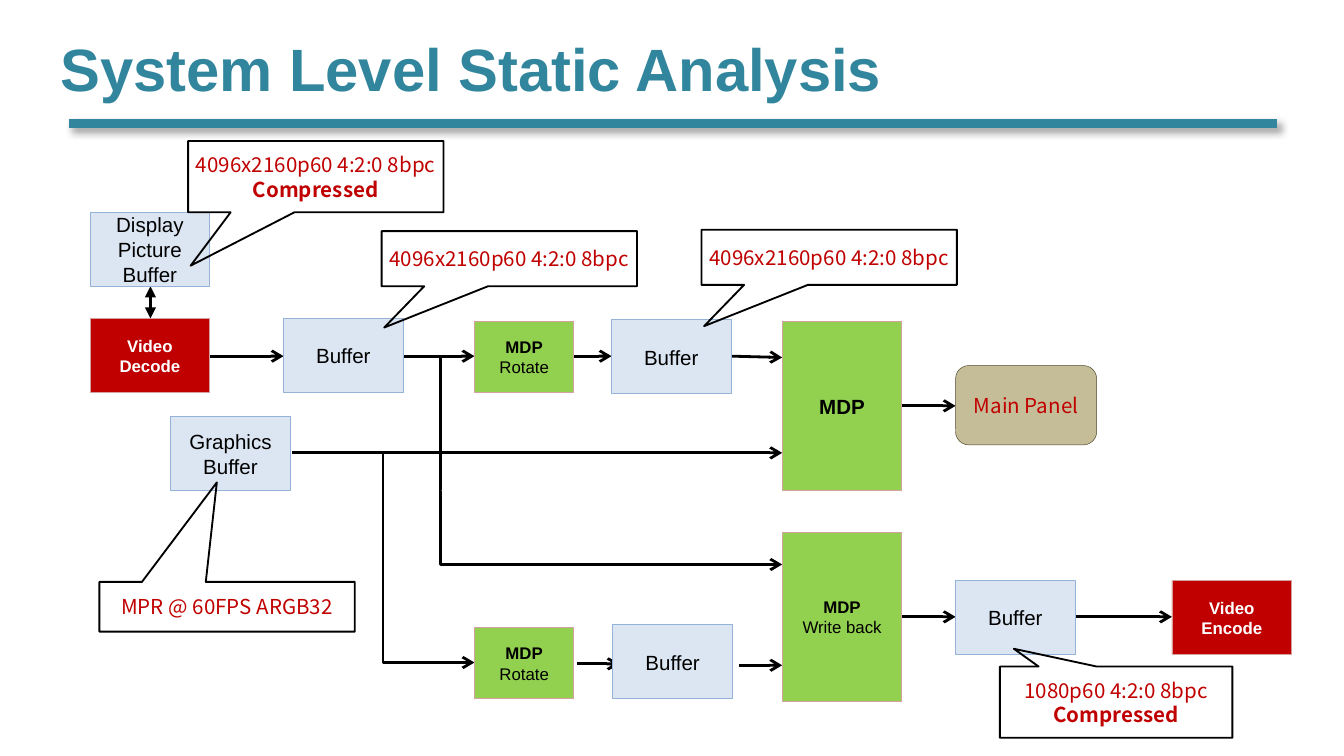
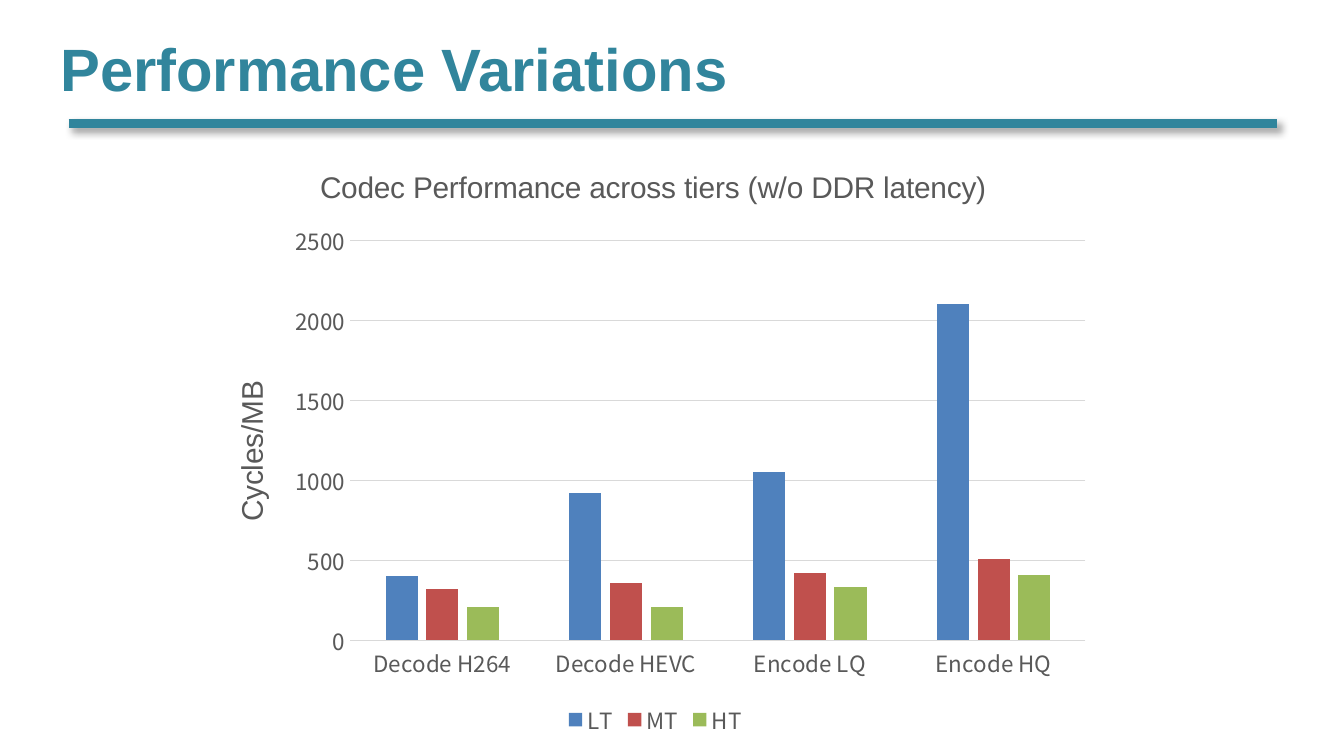
"""Build two slides: a video pipeline diagram and a codec performance chart."""
from dataclasses import dataclass
from typing import Any

from lxml.etree import SubElement
from pptx import Presentation
from pptx.chart.data import CategoryChartData
from pptx.dml.color import RGBColor
from pptx.enum.chart import XL_CHART_TYPE as ChartType
from pptx.enum.chart import XL_LEGEND_POSITION as LegendPosition
from pptx.enum.chart import XL_TICK_MARK as TickMark
from pptx.enum.shapes import MSO_CONNECTOR as Connector
from pptx.enum.shapes import MSO_SHAPE as Shape
from pptx.enum.text import MSO_ANCHOR as Anchor
from pptx.enum.text import PP_ALIGN as Align
from pptx.oxml.ns import qn
from pptx.slide import Slide
from pptx.util import Inches, Pt

COLORS = {
    "teal": "31859C", "black": "000000", "white": "FFFFFF", "red": "C00000",
    "pink": "D5A1A0", "green": "92D050", "pale": "DCE6F2", "blue": "95B3D7",
    "tan": "C4BD97", "brown": "4A452A", "grey": "595959", "grid": "D9D9D9",
    "LT": "4F81BD", "MT": "C0504D", "HT": "9BBB59",
}
SANS = "Arial"
NOTO = "Noto Sans CJK KR"
PAGE_WIDTH = 10
PAGE_HEIGHT = PAGE_WIDTH * 9 / 16
BLOCK_W, BLOCK_H = 0.89, 0.55
ROTATE_W, ROTATE_H = 0.74, 0.53
MDP_H = 1.26


@dataclass(frozen=True)
class Style:
    """Fill, outline and text look of one kind of box."""
    fill: str | None
    line: str
    weight: float
    color: str
    size: float
    font: str = SANS
    shape: Shape = Shape.RECTANGLE
    inset: bool = True


@dataclass(frozen=True)
class Block:
    """A box with lines of (text, bold) and optional callout adjustments."""
    style: Style
    left: float
    top: float
    lines: tuple[tuple[str, bool], ...]
    width: float = BLOCK_W
    height: float = BLOCK_H
    tip: tuple[float, float] | None = None


@dataclass(frozen=True)
class Link:
    """A connector, with arrowheads and optional elbow geometry."""
    x1: float
    y1: float
    x2: float
    y2: float
    tail: str | None = "arrow"
    head: str | None = None
    elbow: str | None = None
    bend: int | None = None
    turn: int = 0


BUFFER = Style("pale", "blue", 0.5, "black", 11)
CODEC = Style("red", "pink", 0.5, "white", 9)
ENGINE = Style("green", "pink", 0.5, "black", 9)
MIXER = Style("green", "pink", 0.5, "black", 11)
PANEL = Style("tan", "brown", 0.25, "red", 11, NOTO, Shape.ROUNDED_RECTANGLE, False)
NOTE = Style(None, "black", 1, "red", 11, NOTO, Shape.RECTANGULAR_CALLOUT, False)

BUFFER_TEXT = (("Buffer", False),)
ROTATE_TEXT = (("MDP", True), ("Rotate", False))
FORMAT_4K = ("4096x2160p60 4:2:0 8bpc", False)
COMPRESSED = ("Compressed", True)
LOWER_TIP = (-0.49, 1.25)

BLOCKS = (
    Block(BUFFER, 0.67, 1.58, (("Display Picture Buffer", False),)),
    Block(CODEC, 0.67, 2.37, (("Video", True), ("Decode", True))),
    Block(BUFFER, 2.11, 2.37, BUFFER_TEXT),
    Block(ENGINE, 3.53, 2.39, ROTATE_TEXT, ROTATE_W, ROTATE_H),
    Block(BUFFER, 4.55, 2.38, BUFFER_TEXT),
    Block(MIXER, 5.82, 2.39, (("MDP", True),), height=MDP_H),
    Block(PANEL, 7.11, 2.72, (("Main Panel", False),), 1.05, 0.59),
    Block(BUFFER, 1.27, 3.1, (("Graphics Buffer", False),)),
    Block(ENGINE, 3.53, 4.67, ROTATE_TEXT, ROTATE_W, ROTATE_H),
    Block(BUFFER, 4.56, 4.65, BUFFER_TEXT),
    Block(ENGINE, 5.82, 3.96, (("MDP", True), ("Write back", False)), height=MDP_H),
    Block(BUFFER, 7.11, 4.32, BUFFER_TEXT),
    Block(CODEC, 8.72, 4.32, (("Video", True), ("Encode", True))),
    Block(NOTE, 1.4, 1.05, (FORMAT_4K, COMPRESSED), 1.9, 0.53, LOWER_TIP),
    Block(NOTE, 2.84, 1.72, (FORMAT_4K,), 1.9, 0.41, LOWER_TIP),
    Block(NOTE, 5.22, 1.71, (FORMAT_4K,), 1.9, 0.41, LOWER_TIP),
    Block(NOTE, 0.74, 4.33, (("MPR @ 60FPS ARGB32", False),), 1.9, 0.37, (-0.04, -2.5)),
    Block(NOTE, 7.44, 4.96, (("1080p60 4:2:0 8bpc", False), COMPRESSED),
          1.73, 0.53, (-0.44, -0.75)),
)
LINKS = (
    Link(1.56, 2.65, 2.11, 2.65),
    Link(3, 2.65, 3.53, 2.65),
    Link(4.27, 2.65, 4.55, 2.65),
    Link(5.44, 2.65, 5.82, 2.66),
    Link(2.17, 3.37, 5.82, 3.37),
    Link(6.71, 3.02, 7.11, 3.02),
    Link(4.29, 4.94, 4.61, 4.94),
    Link(5.5, 4.95, 5.82, 4.95),
    Link(6.71, 4.59, 7.11, 4.59),
    Link(8, 4.59, 8.72, 4.59),
    Link(1.12, 2.37, 1.12, 2.13, "triangle", "triangle"),
    Link(3, 2.65, 3.28, 3.65, None, elbow="bentConnector2"),
    Link(3.28, 3.65, 5.82, 4.2, elbow="bentConnector3", bend=-200),
    Link(3.97, 3.81, 2.41, 4.49, elbow="bentConnector2", turn=270),
)

CATEGORIES = ("Decode H264", "Decode HEVC", "Encode LQ", "Encode HQ")
SERIES = {
    "LT": (400, 920, 1050, 2100),
    "MT": (320, 360, 420, 510),
    "HT": (210, 210, 330, 410),
}
TITLE_PLACE = {"xMode": "edge", "yMode": "edge", "x": 0.12, "y": 0.03}
PLOT_PLACE = {"layoutTarget": "inner", "xMode": "edge", "yMode": "edge",
              "x": 0.16, "y": 0.16, "w": 0.82, "h": 0.67}


def rgb(name: str) -> RGBColor:
    """Return a palette colour."""
    return RGBColor.from_string(COLORS[name])


def apply(target: Any, values: dict[str, Any]) -> None:
    """Set each attribute of the target from a dict."""
    for name, value in values.items():
        setattr(target, name, value)


def style_font(font: Any, name: str, size: float, color: str, bold: bool = False) -> None:
    """Format a font."""
    apply(font, {"name": name, "size": Pt(size), "bold": bold})
    font.color.rgb = rgb(color)


def style_line(line: Any, color: str, weight: float) -> None:
    """Format an outline."""
    line.color.rgb = rgb(color)
    line.width = Pt(weight)


def add_line(page: Slide, link: Link, color: str = "black", weight: float = 1.5) -> Any:
    """Draw a connector and return its empty effect list."""
    kind = Connector.ELBOW if link.elbow else Connector.STRAIGHT
    line = page.shapes.add_connector(
        kind, *map(Inches, (link.x1, link.y1, link.x2, link.y2)))
    style_line(line.line, color, weight)
    props = line._element.spPr
    outline = props.find(qn("a:ln"))
    for tag, end in (("a:headEnd", link.head), ("a:tailEnd", link.tail)):
        if end:
            SubElement(outline, qn(tag), type=end)
    if link.elbow:
        geometry = props.find(qn("a:prstGeom"))
        geometry.set("prst", link.elbow)
        if link.bend is not None:
            guides = geometry.find(qn("a:avLst"))
            SubElement(guides, qn("a:gd"), name="adj1", fmla=f"val {link.bend}")
    if link.turn:
        props.find(qn("a:xfrm")).set("rot", str(link.turn * 60000))
    return SubElement(props, qn("a:effectLst"))


def add_block(page: Slide, block: Block) -> None:
    """Draw a box or callout with its centred text."""
    style = block.style
    box = page.shapes.add_shape(
        style.shape, *map(Inches, (block.left, block.top, block.width, block.height)))
    box.shadow.inherit = False
    if style.fill:
        box.fill.solid()
        box.fill.fore_color.rgb = rgb(style.fill)
    else:
        box.fill.background()
    style_line(box.line, style.line, style.weight)
    for index, value in enumerate(block.tip or ()):
        box.adjustments[index] = value
    frame = box.text_frame
    apply(frame, {"word_wrap": True, "vertical_anchor": Anchor.MIDDLE})
    if not style.inset:
        apply(frame, dict.fromkeys(
            ("margin_left", "margin_top", "margin_right", "margin_bottom"), Inches(0)))
    for index, (text, bold) in enumerate(block.lines):
        para = frame.add_paragraph() if index else frame.paragraphs[0]
        para.alignment = Align.CENTER
        span = para.add_run()
        span.text = text
        style_font(span.font, style.font, style.size, style.color, bold)


def add_page(deck: Any, title: str) -> Slide:
    """Add a blank page with the shared title and shadowed rule."""
    page = deck.slides.add_slide(deck.slide_layouts[6])
    effects = add_line(page, Link(0.51, 0.92, 9.5, 0.92, None), "teal", 4.5)
    shadow = SubElement(effects, qn("a:outerShdw"), blurRad=str(Pt(4)), dist=str(Pt(3)),
                        dir=str(45 * 60000), algn="tl", rotWithShape="0")
    tone = SubElement(shadow, qn("a:srgbClr"), val=COLORS["black"])
    SubElement(tone, qn("a:alpha"), val="40000")
    box = page.shapes.add_textbox(*map(Inches, (0.35, 0.03, 9.65, 0.94)))
    frame = box.text_frame
    apply(frame, {"word_wrap": True, "vertical_anchor": Anchor.MIDDLE})
    span = frame.paragraphs[0].add_run()
    span.text = title
    style_font(span.font, SANS, 32, "teal", True)
    return page


def set_title(title: Any, text: str) -> None:
    """Write the title of a chart or an axis."""
    span = title.text_frame.paragraphs[0].add_run()
    span.text = text
    style_font(span.font, SANS, 16, "grey")


def place(parent: Any, index: int, settings: dict[str, Any]) -> None:
    """Give a chart part a manual layout as the child at an index."""
    layout = parent.find(qn("c:layout"))
    if layout is None:
        layout = SubElement(parent, qn("c:layout"))
        parent.insert(index, layout)
    manual = SubElement(layout, qn("c:manualLayout"))
    for tag, value in settings.items():
        SubElement(manual, qn("c:" + tag), val=str(value))


def add_codec_chart(page: Slide) -> None:
    """Draw the clustered columns of cycles per codec."""
    data = CategoryChartData()
    data.categories = CATEGORIES
    for name, values in SERIES.items():
        data.add_series(name, values)
    chart = page.shapes.add_chart(
        ChartType.COLUMN_CLUSTERED, *map(Inches, (1.54, 1.08, 6.67, 4.44)), data).chart
    style_font(chart.font, NOTO, 10, "black")
    set_title(chart.chart_title, "Codec Performance across tiers (w/o DDR latency)")
    chart.chart_title.include_in_layout = False
    plot = chart.plots[0]
    apply(plot, {"gap_width": 219, "overlap": -27, "vary_by_categories": False})
    for series in plot.series:
        series.format.fill.solid()
        series.format.fill.fore_color.rgb = rgb(series.name)
    for axis in (chart.category_axis, chart.value_axis):
        apply(axis, {"major_tick_mark": TickMark.NONE, "minor_tick_mark": TickMark.NONE})
        style_font(axis.tick_labels.font, NOTO, 12, "grey")
    style_line(chart.category_axis.format.line, "grid", 0.75)
    scale = chart.value_axis
    apply(scale, {"minimum_scale": 0, "maximum_scale": 2500, "major_unit": 500})
    scale.format.line.fill.background()
    style_line(scale.major_gridlines.format.line, "grid", 0.75)
    set_title(scale.axis_title, "Cycles/MB")
    chart.has_legend = True
    apply(chart.legend, {"position": LegendPosition.BOTTOM, "include_in_layout": False})
    style_font(chart.legend.font, NOTO, 12, "grey")
    area = chart._chartSpace.find(".//" + qn("c:plotArea"))
    place(area, 0, PLOT_PLACE)
    place(chart.chart_title._element, 1, TITLE_PLACE)


def main() -> None:
    """Build and save the deck."""
    deck = Presentation()
    apply(deck, {"slide_width": Inches(PAGE_WIDTH), "slide_height": Inches(PAGE_HEIGHT)})
    diagram = add_page(deck, "System Level Static Analysis")
    for link in LINKS:
        add_line(diagram, link)
    for block in BLOCKS:
        add_block(diagram, block)
    add_codec_chart(add_page(deck, "Performance Variations"))
    deck.save("out.pptx")


if __name__ == "__main__":
    main()
